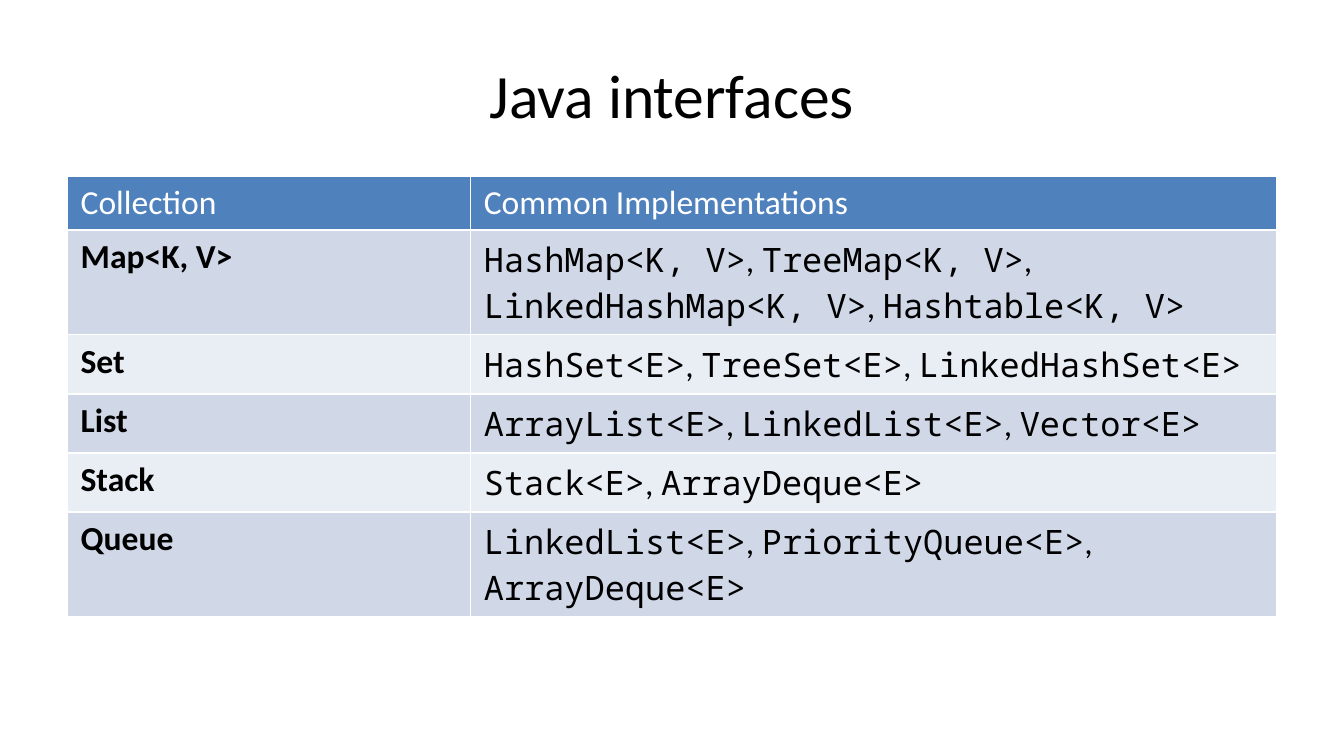
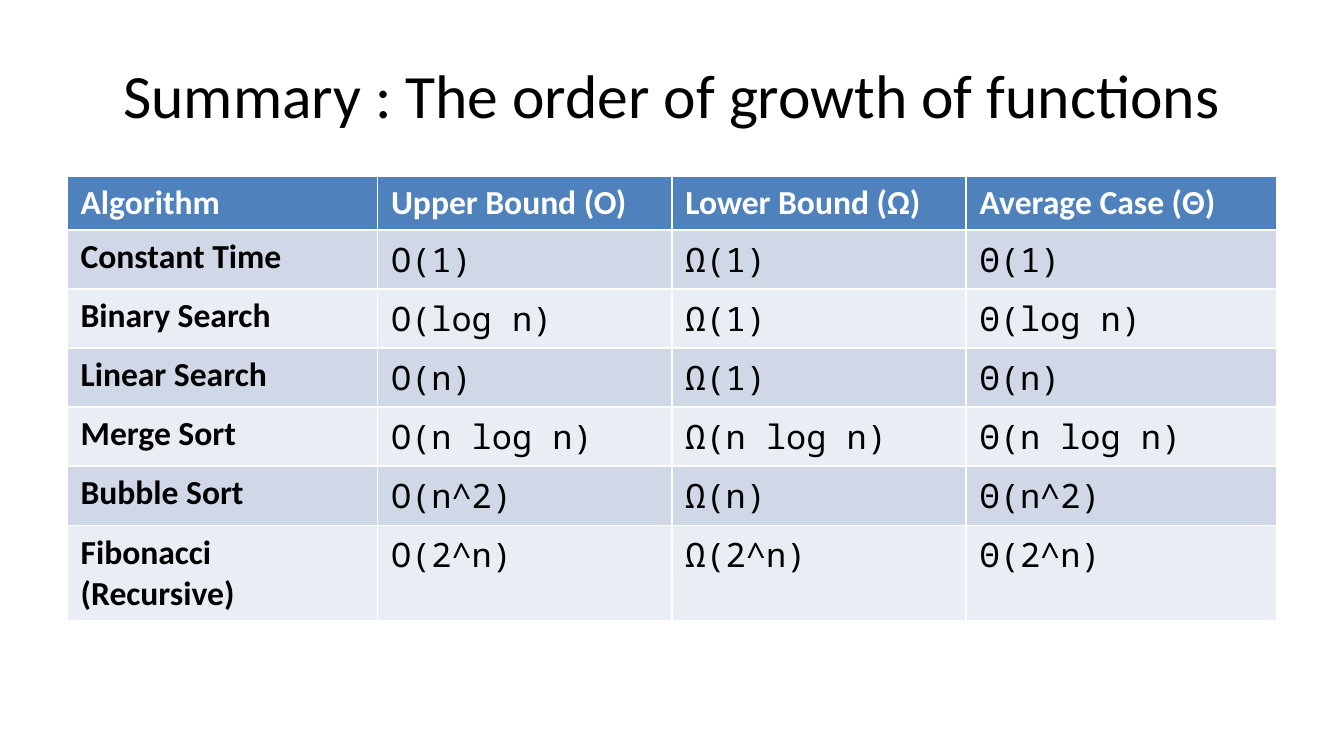
from lxml.etree import SubElement
from pptx import Presentation
from pptx.dml.color import RGBColor
from pptx.enum.text import MSO_ANCHOR, PP_ALIGN
from pptx.oxml.ns import qn
from pptx.util import Inches, Pt

TEXT_FONT, CODE_FONT = "Calibri", "Noto Sans Mono"
TITLE_SIZE, CELL_SIZE = Pt(33), Pt(18)
BLACK = RGBColor(0x00, 0x00, 0x00)
WHITE = RGBColor(0xFF, 0xFF, 0xFF)
HEADER_BLUE = RGBColor(0x4F, 0x81, 0xBD)
BANDS = (RGBColor(0xD0, 0xD8, 0xE8), RGBColor(0xE9, 0xED, 0xF4))

SLIDE_WIDTH = Inches(10)
SLIDE_HEIGHT = SLIDE_WIDTH * 9 // 16
LEFT, CONTENT_WIDTH = Inches(0.5), Inches(9)
TITLE_TOP, TITLE_HEIGHT = Inches(0.23), Inches(0.94)
TABLE_TOP = Inches(1.31)
HEADER_HEIGHT, CODE_ROW, TWO_CODE_LINES, TWO_TEXT_LINES = 0.4, 0.44, 0.78, 0.71

# Each body row: its height, a bold label, then one list of code terms per cell.
SLIDES = [
    {
        "title": "Java interfaces",
        "widths": (3, 6),
        "header": ("Collection", "Common Implementations"),
        "bold_header": False,
        "rows": [
            (TWO_CODE_LINES, "Map<K, V>", ["HashMap<K, V>", "TreeMap<K, V>",
                                           "LinkedHashMap<K, V>", "Hashtable<K, V>"]),
            (CODE_ROW, "Set", ["HashSet<E>", "TreeSet<E>", "LinkedHashSet<E>"]),
            (CODE_ROW, "List", ["ArrayList<E>", "LinkedList<E>", "Vector<E>"]),
            (CODE_ROW, "Stack", ["Stack<E>", "ArrayDeque<E>"]),
            (TWO_CODE_LINES, "Queue", ["LinkedList<E>", "PriorityQueue<E>",
                                       "ArrayDeque<E>"]),
        ],
    },
    {
        "title": "Summary : The order of growth of functions",
        "widths": (2.31, 2.19, 2.19, 2.31),
        "header": ("Algorithm", "Upper Bound (O)", "Lower Bound (Ω)", "Average Case (Θ)"),
        "bold_header": True,
        "rows": [
            (CODE_ROW, "Constant Time", ["O(1)"], ["Ω(1)"], ["Θ(1)"]),
            (CODE_ROW, "Binary Search", ["O(log n)"], ["Ω(1)"], ["Θ(log n)"]),
            (CODE_ROW, "Linear Search", ["O(n)"], ["Ω(1)"], ["Θ(n)"]),
            (CODE_ROW, "Merge Sort", ["O(n log n)"], ["Ω(n log n)"], ["Θ(n log n)"]),
            (CODE_ROW, "Bubble Sort", ["O(n^2)"], ["Ω(n)"], ["Θ(n^2)"]),
            (TWO_TEXT_LINES, "Fibonacci (Recursive)", ["O(2^n)"], ["Ω(2^n)"], ["Θ(2^n)"]),
        ],
    },
]


def add_span(para, text, color, font=TEXT_FONT, size=CELL_SIZE, bold=False):
    span = para.add_run()
    span.text = text
    span.font.name, span.font.size, span.font.bold = font, size, bold
    span.font.color.rgb = color


def add_title(page, text):
    box = page.shapes.add_textbox(LEFT, TITLE_TOP, CONTENT_WIDTH, TITLE_HEIGHT)
    frame = box.text_frame
    frame.word_wrap = True
    frame.vertical_anchor = MSO_ANCHOR.MIDDLE
    para = frame.paragraphs[0]
    para.alignment = PP_ALIGN.CENTER
    add_span(para, text, BLACK, size=TITLE_SIZE)


def style_cell(cell, fill):
    """Give the cell thin white borders and a solid fill."""
    properties = cell._tc.get_or_add_tcPr()
    for side in "LRTB":
        line = SubElement(properties, qn(f"a:ln{side}"), w=str(Pt(1)))
        SubElement(SubElement(line, qn("a:solidFill")), qn("a:srgbClr"), val=str(WHITE))
    cell.fill.solid()
    cell.fill.fore_color.rgb = fill


def add_code_terms(para, terms):
    for index, term in enumerate(terms):
        if index:
            add_span(para, ", ", BLACK)
        add_span(para, term, BLACK, font=CODE_FONT)


def add_content_table(page, content):
    header, rows = content["header"], content["rows"]
    heights = [HEADER_HEIGHT] + [row[0] for row in rows]
    table = page.shapes.add_table(len(heights), len(header), LEFT, TABLE_TOP,
                                  CONTENT_WIDTH, Inches(sum(heights))).table
    for column, width in zip(table.columns, content["widths"]):
        column.width = Inches(width)
    for row, height in zip(table.rows, heights):
        row.height = Inches(height)

    for cell, text in zip(table.rows[0].cells, header):
        style_cell(cell, HEADER_BLUE)
        add_span(cell.text_frame.paragraphs[0], text, WHITE, bold=content["bold_header"])

    for index, (_, label, *term_lists) in enumerate(rows):
        cells = table.rows[index + 1].cells
        paras = [cell.text_frame.paragraphs[0] for cell in cells]
        for cell in cells:
            style_cell(cell, BANDS[index % 2])
        add_span(paras[0], label, BLACK, bold=True)
        for para, terms in zip(paras[1:], term_lists):
            add_code_terms(para, terms)


def main():
    deck = Presentation()
    deck.slide_width, deck.slide_height = SLIDE_WIDTH, SLIDE_HEIGHT
    blank = deck.slide_layouts[6]
    for content in SLIDES:
        page = deck.slides.add_slide(blank)
        add_title(page, content["title"])
        add_content_table(page, content)
    deck.save("out.pptx")


if __name__ == "__main__":
    main()
